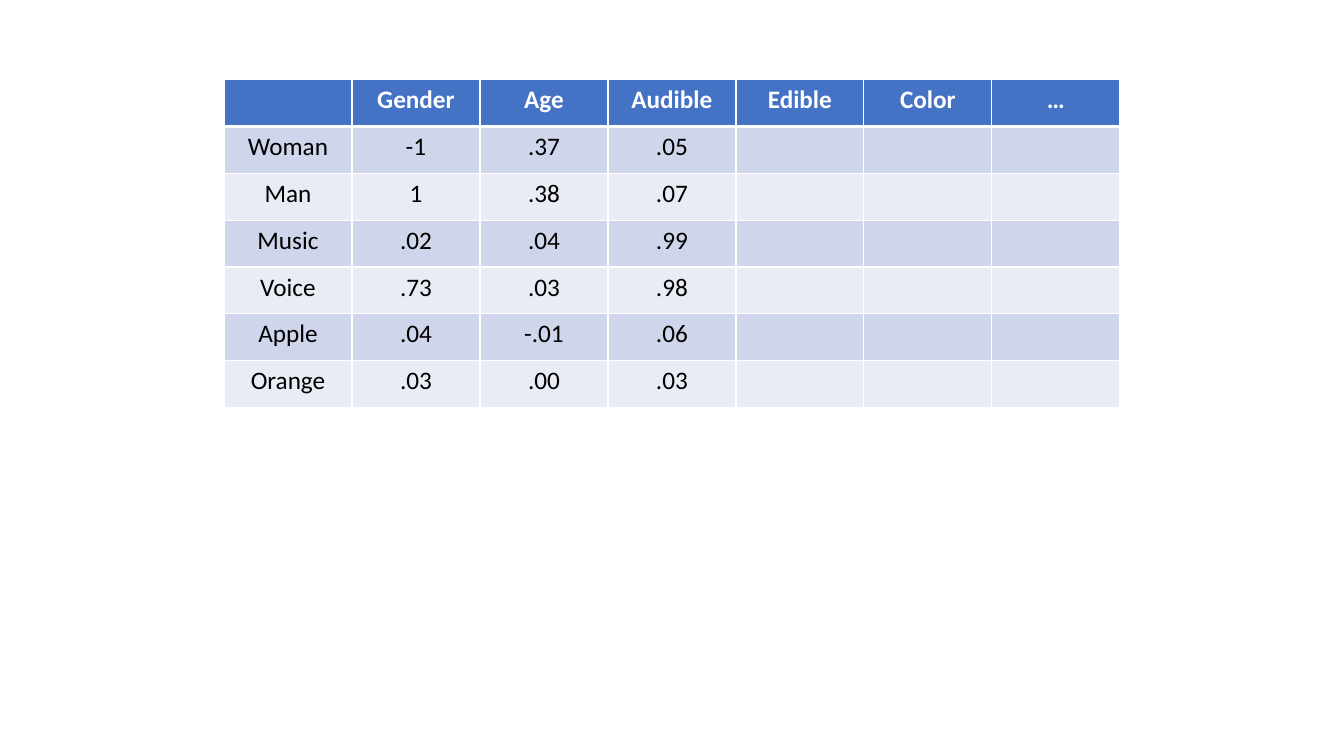
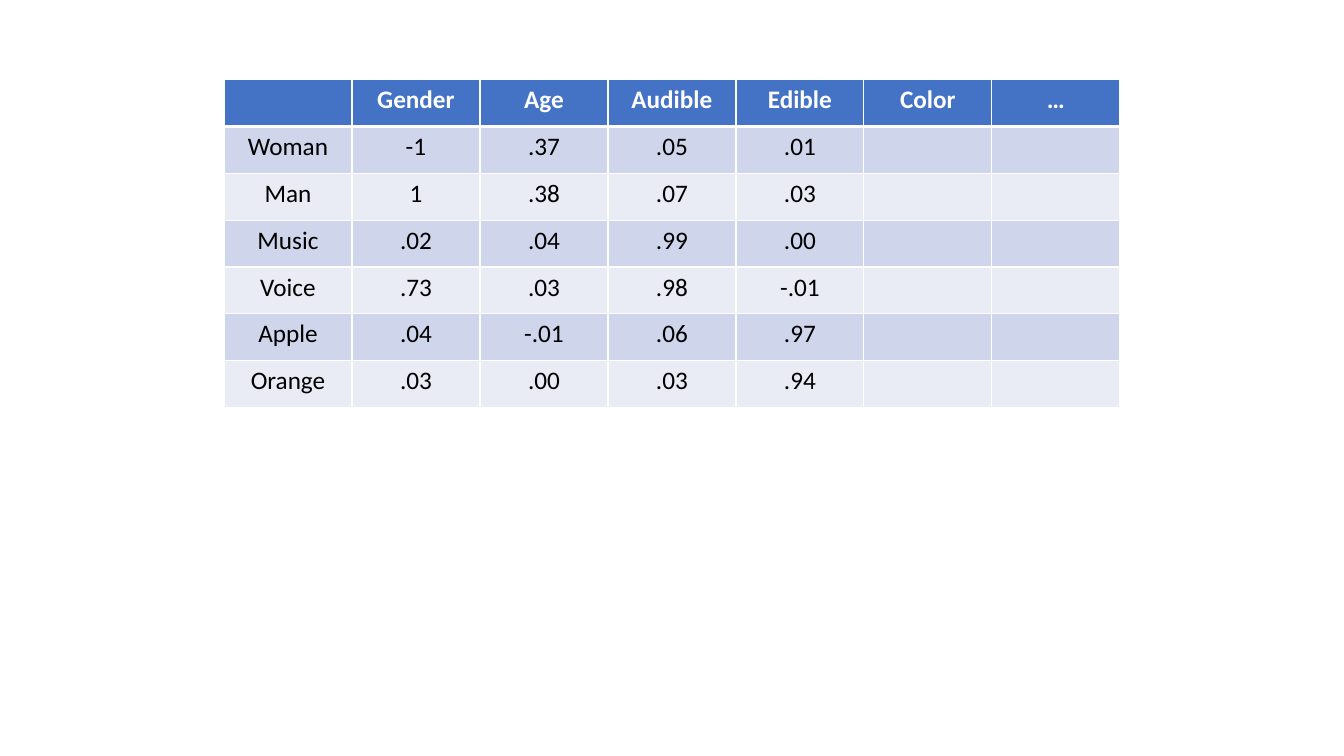
from lxml import etree
from pptx import Presentation, util as u
from pptx.dml.color import RGBColor
from pptx.enum import text as t
from pptx.oxml import ns

# Content: one score list per feature, one score per word
WORDS = ["Woman", "Man", "Music", "Voice", "Apple", "Orange"]
HEADS = ["", "Gender", "Age", "Audible", "Edible", "Color", "…"]
SCORES = [
    ["-1", "1", ".02", ".73", ".04", ".03"],
    [".37", ".38", ".04", ".03", "-.01", ".00"],
    [".05", ".07", ".99", ".98", ".06", ".03"],
    [".01", ".03", ".00", "-.01", ".97", ".94"],
]
SHOWN = [3, 4]  # features filled in on each slide

# Shared style, lengths in points
WHITE = RGBColor(0xFF, 0xFF, 0xFF)
BLACK = RGBColor(0, 0, 0)
BLUE = RGBColor(0x44, 0x72, 0xC4)
BANDS = [RGBColor(0xCF, 0xD5, 0xEA), RGBColor(0xE9, 0xEB, 0xF5)]
FONT = "Calibri"
LEFT, TOP, WIDE, HIGH = 160, 57, 640, 234


def write(frame, text, size=18, color=BLACK, bold=False):
    para = frame.paragraphs[0]
    para.alignment = t.PP_ALIGN.CENTER
    para.font.size = u.Pt(size)
    if text:
        run = para.add_run()
        run.text = text
        font = run.font
        font.name, font.size, font.bold = FONT, u.Pt(size), bold
        font.color.rgb = color


def edge(cell, **widths):
    """Draw white cell borders; sides come in the order L, R, T, B."""
    props = cell._tc.get_or_add_tcPr()
    for side, width in widths.items():
        line = etree.SubElement(props, ns.qn("a:ln" + side), w=str(u.Pt(width)))
        fill = etree.SubElement(line, ns.qn("a:solidFill"))
        etree.SubElement(fill, ns.qn("a:srgbClr"), val=str(WHITE))


def grid(slide, rows):
    count, span = len(rows), len(rows[0])
    table = slide.shapes.add_table(
        count, span, u.Pt(LEFT), u.Pt(TOP), u.Pt(WIDE), u.Pt(HIGH)).table
    for col in table.columns:
        col.width = u.Pt(WIDE / span)
    for r, row in enumerate(rows):
        table.rows[r].height = u.Pt(HIGH / count)
        head = r == 0
        for c, text in enumerate(row):
            cell = table.cell(r, c)
            # The rule under the header is thicker
            edge(cell, L=1, R=1, T=3 if r == 1 else 1, B=3 if head else 1)
            cell.fill.solid()
            cell.fill.fore_color.rgb = BLUE if head else BANDS[(r - 1) % 2]
            write(cell.text_frame, text, color=WHITE if head else BLACK, bold=head)


# Slides
deck = Presentation()
deck.slide_width, deck.slide_height = u.Pt(960), u.Pt(540)
for shown in SHOWN:
    slide = deck.slides.add_slide(deck.slide_layouts[6])
    blank = [""] * (len(HEADS) - 1 - shown)
    body = [[word, *vals, *blank] for word, *vals in zip(WORDS, *SCORES[:shown])]
    grid(slide, [HEADS, *body])

deck.save("out.pptx")
